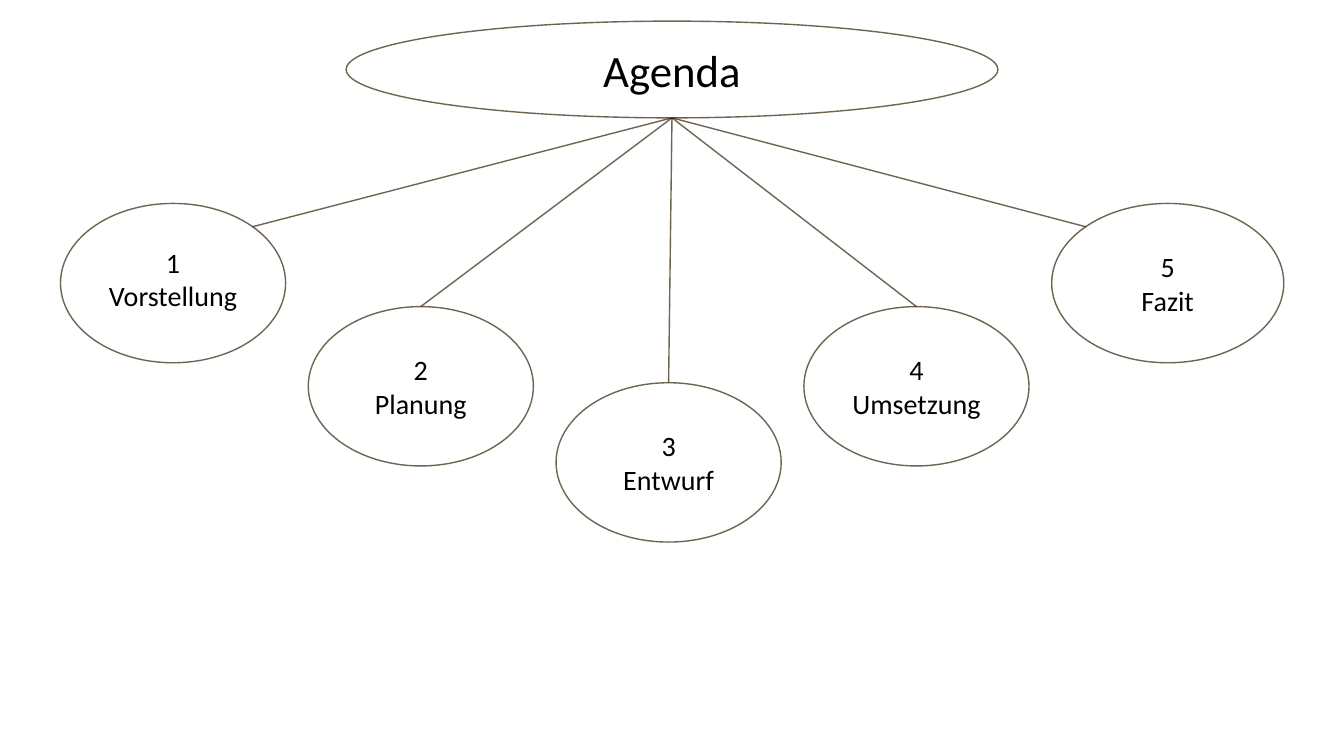
from math import sqrt

from lxml.etree import SubElement
from pptx import Presentation
from pptx.dml.color import RGBColor
from pptx.enum.shapes import MSO_CONNECTOR as Connector, MSO_SHAPE as Shape
from pptx.enum.text import MSO_ANCHOR as Anchor, PP_ALIGN as Align
from pptx.oxml.ns import qn
from pptx.util import Pt

COLORS = {"paper": "FFFFFF", "outline": "332307", "text": "000000"}
OPACITY = 70
FONT = "Calibri"

# Five topics hang in an arc below the title
TOPICS = [
    # number, name, top, width
    ("1", "Vorstellung", 145.3, 160.8),
    ("2", "Planung", 219, 160.8),
    ("3", "Entwurf", 273.4, 160.8),
    ("4", "Umsetzung", 219, 160.8),
    ("5", "Fazit", 145.3, 165.8),
]
FIRST_LEFT, STEP, TOPIC_HEIGHT = 43.2, 177, 113.8
TOP_SITE = 0


def paint(color_format, name):
    """Set a colour and its partial transparency."""
    color_format.rgb = RGBColor.from_string(COLORS[name])


def fade(fill_parent):
    """Make the solid fill below an element partly transparent."""
    color = fill_parent.find(qn("a:solidFill")).find(qn("a:srgbClr"))
    SubElement(color, qn("a:alpha")).set("val", str(OPACITY * 1000))


def style_line(shape):
    shape.line.width = Pt(1)
    shape.line.fill.solid()
    paint(shape.line.fill.fore_color, "outline")
    fade(shape.line._ln)


def add_bubble(slide, left, top, width, height, text, size):
    bubble = slide.shapes.add_shape(
        Shape.OVAL, Pt(left), Pt(top), Pt(width), Pt(height))
    bubble.shadow.inherit = False
    bubble.fill.solid()
    paint(bubble.fill.fore_color, "paper")
    fade(bubble._element.spPr)
    style_line(bubble)

    frame = bubble.text_frame
    frame.text = text
    frame.word_wrap = True
    frame.vertical_anchor = Anchor.MIDDLE
    for paragraph in frame.paragraphs:
        paragraph.alignment = Align.CENTER
        for run in paragraph.runs:
            run.font.name = FONT
            run.font.size = Pt(size)
            paint(run.font.color, "text")
    return bubble


def add_branch(slide, title, topic, side):
    """Link the title's foot to a topic: side -1 left, 0 top, 1 right."""
    center_x = topic.left + topic.width / 2
    center_y = topic.top + topic.height / 2
    branch = slide.shapes.add_connector(
        Connector.STRAIGHT,
        title.left + title.width // 2, title.top + title.height,
        int(center_x + side * topic.width / 2 / sqrt(2)),
        int(center_y - topic.height / 2 / sqrt(2)))
    if side == 0:
        branch.end_connect(topic, TOP_SITE)
    style_line(branch)
    SubElement(branch._element.spPr, qn("a:effectLst"))


def main():
    deck = Presentation()
    deck.slide_width, deck.slide_height = Pt(960), Pt(540)
    slide = deck.slides.add_slide(deck.slide_layouts[6])

    # Title
    agenda = add_bubble(slide, 247.2, 15.1, 465.6, 69.1, "Agenda", 32)

    # Topics
    topics = [
        add_bubble(slide, FIRST_LEFT + STEP * place, top, width, TOPIC_HEIGHT,
                   f"{number}\n{name}", 20)
        for place, (number, name, top, width) in enumerate(TOPICS)
    ]
    topics[0].text_frame.margin_bottom = Pt(9.6)

    # Branches: the outer topics are met on their inner shoulder
    for topic, side in zip(topics, (1, 0, 0, 0, -1)):
        add_branch(slide, agenda, topic, side)

    deck.save("out.pptx")


if __name__ == "__main__":
    main()
